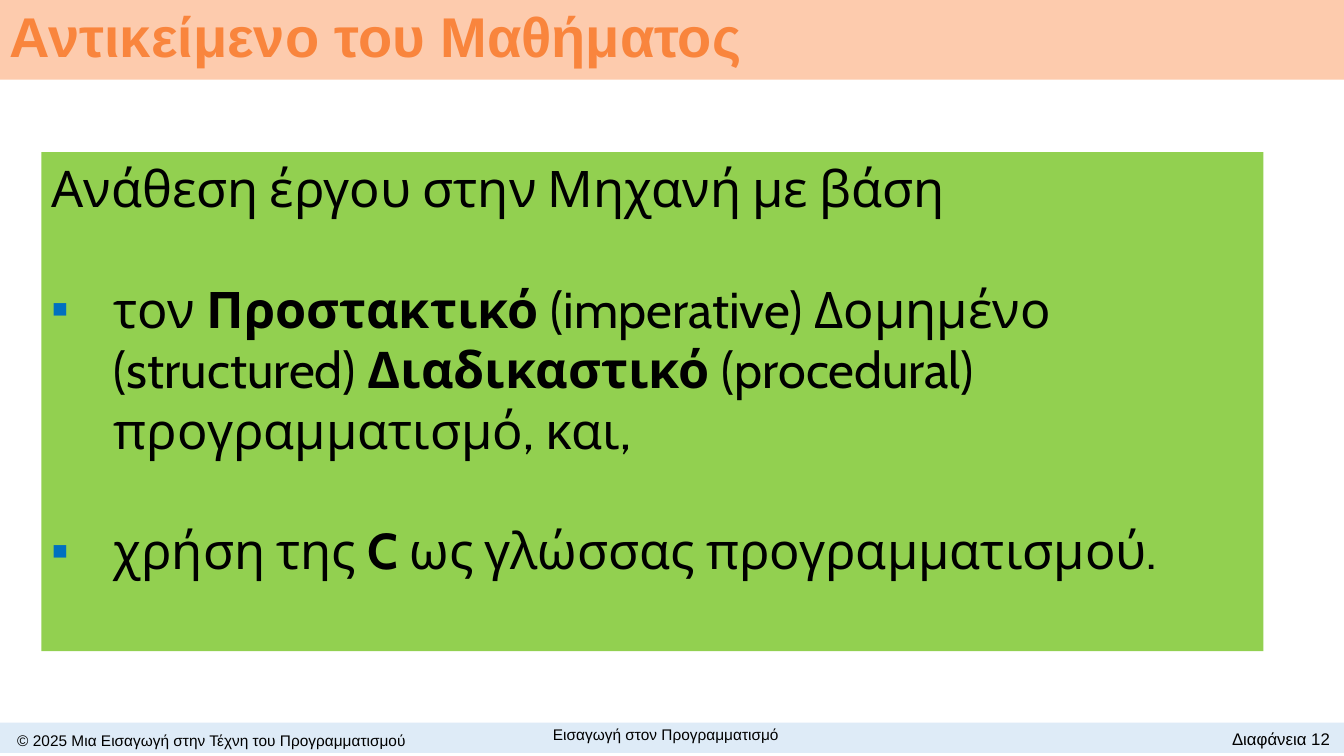
from dataclasses import dataclass

from lxml import etree
from pptx import Presentation
from pptx import util as u
from pptx.dml.color import RGBColor
from pptx.enum import shapes, text
from pptx.oxml.ns import qn

LEFT, MID, RIGHT = text.PP_ALIGN.LEFT, text.PP_ALIGN.CENTER, text.PP_ALIGN.RIGHT


@dataclass(frozen=True)
class Theme:
    peach: str = "FDCBAD"
    orange: str = "F9853D"
    green: str = "92D050"
    pale: str = "DEEBF7"
    blue: str = "0070C0"
    black: str = "000000"
    head: str = "Arial"
    body: str = "Cabin"
    title: int = 40
    main: int = 36
    page: int = 12
    note: int = 11
    gap: int = 43


T = Theme()


def panel(slide, box, fill):
    """Add a plain filled rectangle."""
    rect = slide.shapes.add_shape(
        shapes.MSO_SHAPE.RECTANGLE, *map(u.Inches, box))
    rect.shadow.inherit = False
    rect.fill.solid()
    rect.fill.fore_color.rgb = RGBColor.from_string(fill)
    rect.line.fill.background()
    return rect


def bullet(para, indent):
    """Give a paragraph a square bullet with a hanging indent."""
    props = para._p.get_or_add_pPr()
    props.set("marL", str(u.Inches(indent)))
    props.set("indent", str(-u.Inches(indent)))
    color = etree.SubElement(props, qn("a:buClr"))
    etree.SubElement(color, qn("a:srgbClr"), val=T.blue)
    etree.SubElement(props, qn("a:buFont"), typeface=T.head)
    etree.SubElement(props, qn("a:buChar"), char="▪")


def write(para, words, size=T.note, font=T.head, color=T.black,
          bold=False, align=LEFT):
    """Append one formatted run to a paragraph."""
    para.alignment = align
    run = para.add_run()
    run.text = words
    run.font.size = u.Pt(size)
    run.font.name = font
    run.font.bold = bold
    run.font.color.rgb = RGBColor.from_string(color)


def frame(shape, anchor):
    """Prepare the text frame of a shape."""
    area = shape.text_frame
    area.word_wrap = True
    area.vertical_anchor = anchor
    return area


def header(slide, box):
    area = frame(panel(slide, box, T.peach), text.MSO_ANCHOR.MIDDLE)
    para = area.paragraphs[0]
    para.line_spacing = 0.9
    write(para, "Αντικείμενο του Μαθήματος", size=T.title,
          color=T.orange, bold=True)


def content(slide, box):
    # Every second run is bold
    items = [
        ["Ανάθεση έργου στην Μηχανή με βάση"],
        ["τον ", "Προστακτικό", " (imperative) Δομημένο (structured) ",
         "Διαδικαστικό ", "(procedural) προγραμματισμό, και,"],
        ["χρήση της ", "C ", "ως γλώσσας προγραμματισμού."],
    ]
    area = frame(panel(slide, box, T.green), text.MSO_ANCHOR.TOP)
    for row, parts in enumerate(items):
        para = area.add_paragraph() if row else area.paragraphs[0]
        if row:
            bullet(para, 0.62)
            para.space_before = u.Pt(T.gap)
        for spot, words in enumerate(parts):
            write(para, words, size=T.main, font=T.body, bold=spot % 2 == 1)


def footer(slide, box):
    left, top, width, height = box
    panel(slide, box, T.pale)
    # Offset from the strip, width, words, size, alignment
    labels = [
        (0, 0.03, 4.2, "© 2025 Μια Εισαγωγή στην Τέχνη του Προγραμματισμού",
         T.note, MID),
        (4.07, -0.03, 5.07, "Εισαγωγή στον Προγραμματισμό", T.note, MID),
        (width - 2.1, 0.01, 2.06, "Διαφάνεια 12", T.page, RIGHT),
    ]
    for dx, dy, wide, words, size, align in labels:
        label = slide.shapes.add_textbox(
            *map(u.Inches, (left + dx, top + dy, wide, height)))
        area = frame(label, text.MSO_ANCHOR.MIDDLE)
        write(area.paragraphs[0], words, size=size, align=align)


def main():
    deck = Presentation()
    deck.slide_width, deck.slide_height = u.Inches(13.33), u.Inches(7.5)
    slide = deck.slides.add_slide(deck.slide_layouts[6])
    header(slide, (0, 0, 13.33, 0.79))
    footer(slide, (0, 7.17, 13.33, 0.3))
    content(slide, (0.41, 1.51, 12.12, 4.95))
    deck.save("out.pptx")


if __name__ == "__main__":
    main()
